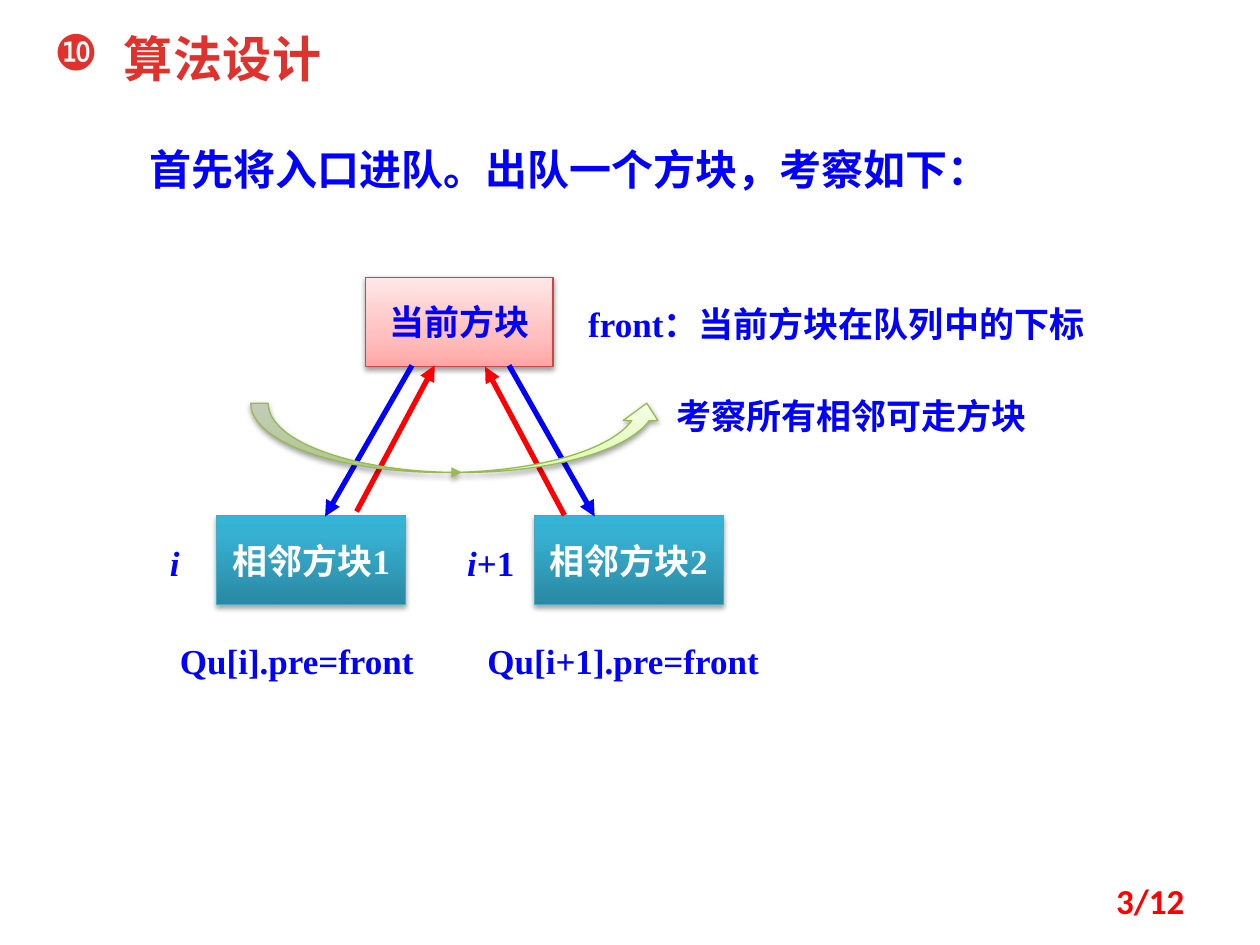
"""Build the queue-based maze search slide."""
from dataclasses import dataclass

from lxml.etree import SubElement
from pptx import Presentation
from pptx.dml.color import RGBColor
from pptx.enum.shapes import MSO_CONNECTOR as CONN, MSO_SHAPE as SHAPE
from pptx.enum.text import MSO_ANCHOR as ANCHOR, MSO_AUTO_SIZE as FIT, PP_ALIGN as ALIGN
from pptx.oxml.ns import qn
from pptx.util import Inches, Pt

BLUE = RGBColor(0x00, 0x00, 0xFF)
RED = RGBColor(0xFF, 0x00, 0x00)
WHITE = RGBColor(0xFF, 0xFF, 0xFF)
TITLE_RED = RGBColor(0xE0, 0x32, 0x2D)
PINK_LINE = RGBColor(0xBF, 0x4C, 0x48)
TEAL_LINE = RGBColor(0x46, 0xAA, 0xC5)
GREEN_LINE = RGBColor(0x98, 0xB9, 0x55)
PINK = ((0, "FFA6A5"), (35, "FFC0BF"), (100, "FFE7E7"))
TEAL = ((0, "2A88A2"), (80, "37B1D2"), (100, "34B4D6"))
GREEN = ((0, "DAFDA7"), (35, "E4FCC2"), (100, "F5FFE7"))
SERIF, SANS, CJK = "Times New Roman", "Calibri", "Noto Sans CJK SC"


@dataclass
class Block:
    """A gradient shape with an optional centred caption."""
    x: float
    y: float
    w: float
    h: float
    stops: tuple
    line: RGBColor
    text: str = ""
    color: RGBColor = BLUE
    kind: SHAPE = SHAPE.RECTANGLE
    alpha: int = 38


@dataclass
class Label:
    """A text box whose leading part may be italic."""
    x: float
    y: float
    w: float
    h: float
    text: str
    italic: str = ""
    size: int = 20
    font: str = SERIF
    color: RGBColor = BLUE
    align: ALIGN = ALIGN.LEFT
    anchor: ANCHOR = ANCHOR.TOP


@dataclass
class Arrow:
    """A straight arrow between two points."""
    x1: float
    y1: float
    x2: float
    y2: float
    color: RGBColor


BLOCKS = [
    Block(2.9, 2.2, 1.49, 0.71, PINK, PINK_LINE, "当前方块"),
    Block(1.72, 4.09, 1.5, 0.71, TEAL, TEAL_LINE, "相邻方块1", WHITE, alpha=35),
    Block(4.24, 4.09, 1.5, 0.71, TEAL, TEAL_LINE, "相邻方块2", WHITE, alpha=35),
]
ARROWS = [
    Arrow(3.27, 2.9, 2.58, 4.1, BLUE),
    Arrow(4.04, 2.9, 4.72, 4.1, BLUE),
    Arrow(2.83, 4.06, 3.45, 2.9, RED),
    Arrow(4.48, 4.09, 3.85, 2.91, RED),
]
SWEEP = Block(1.99, 3.2, 3.28, 0.55, GREEN, GREEN_LINE, kind=SHAPE.CURVED_UP_ARROW)
LABELS = [
    Label(1.09, 1.09, 7.03, 0.5, "首先将入口进队。出队一个方块，考察如下：", size=24),
    Label(4.57, 2.35, 4.22, 0.44, "front：当前方块在队列中的下标"),
    Label(5.27, 3.08, 3.13, 0.44, "考察所有相邻可走方块"),
    Label(1.25, 4.25, 0.31, 0.43, "", "i"),
    Label(3.61, 4.25, 0.63, 0.43, "+1", "i"),
    Label(1.33, 5.03, 2.2, 0.43, "Qu[i].pre=front"),
    Label(3.77, 5.03, 2.52, 0.43, "Qu[i+1].pre=front"),
    Label(7.17, 6.95, 2.33, 0.4, "3/12", font=SANS, color=RED,
          align=ALIGN.RIGHT, anchor=ANCHOR.MIDDLE),
]


def add(parent, tag: str, **attrs):
    """Append a DrawingML element."""
    return SubElement(parent, qn(f"a:{tag}"), {k: str(v) for k, v in attrs.items()})


def style(p, size: float, font: str, color: RGBColor, align: ALIGN) -> None:
    """Format a whole paragraph in bold."""
    p.alignment = align
    f = p.font
    f.size, f.name, f.bold = Pt(size), font, True
    f.color.rgb = color
    latin = f._element.find(qn("a:latin"))
    latin.addnext(add(f._element, "ea", typeface=CJK))


def add_block(s, b: Block):
    """Draw a gradient shape with a soft shadow."""
    sp = s.shapes.add_shape(b.kind, Inches(b.x), Inches(b.y), Inches(b.w), Inches(b.h))
    sp.line.color.rgb, sp.line.width = b.line, Pt(0.75)
    sp.fill.gradient()
    sp.fill.gradient_angle = 90
    stops = sp._element.spPr.find(qn("a:gradFill")).find(qn("a:gsLst"))
    for old in list(stops):
        stops.remove(old)
    for pos, color in b.stops:
        add(add(stops, "gs", pos=pos * 1000), "srgbClr", val=color)
    sp.shadow.inherit = False
    effects = sp._element.spPr.find(qn("a:effectLst"))
    shadow = add(effects, "outerShdw", blurRad=Pt(3.1), dist=Pt(1.6),
                 dir=5400000, rotWithShape=0)
    add(add(shadow, "srgbClr", val="000000"), "alpha", val=b.alpha * 1000)
    if b.text:
        tf = sp.text_frame
        tf.word_wrap, tf.vertical_anchor = False, ANCHOR.MIDDLE
        tf.text = b.text
        style(tf.paragraphs[0], 20, SERIF, b.color, ALIGN.CENTER)
    return sp


def add_arrow(s, a: Arrow) -> None:
    """Draw a straight arrow."""
    c = s.shapes.add_connector(CONN.STRAIGHT, Inches(a.x1), Inches(a.y1),
                               Inches(a.x2), Inches(a.y2))
    c.line.color.rgb, c.line.width = a.color, Pt(3)
    add(c.line._get_or_add_ln(), "tailEnd", type="triangle")
    add(c._element.spPr, "effectLst")


def add_label(s, t: Label) -> None:
    """Draw a text box."""
    box = s.shapes.add_textbox(Inches(t.x), Inches(t.y), Inches(t.w), Inches(t.h))
    tf = box.text_frame
    tf.word_wrap, tf.vertical_anchor = True, t.anchor
    p = tf.paragraphs[0]
    for text, italic in ((t.italic, True), (t.text, False)):
        if text:
            r = p.add_run()
            r.text, r.font.italic = text, italic
    style(p, t.size, t.font, t.color, t.align)


def add_title(s, text: str) -> None:
    """Place the title with its numbered bullet."""
    sp = s.shapes.title
    sp.left, sp.top, sp.width, sp.height = (Inches(v) for v in (0.33, 0.23, 2.8, 0.53))
    tf = sp.text_frame
    tf.text = text
    tf.auto_size, tf.word_wrap, tf.vertical_anchor = FIT.NONE, True, ANCHOR.TOP
    p = tf.paragraphs[0]
    style(p, 28, CJK, TITLE_RED, ALIGN.LEFT)
    p.line_spacing = 0.9
    p.font._element.set("spc", "50")
    pPr = p._p.get_or_add_pPr()
    pPr.set("marL", str(Inches(0.55)))
    pPr.set("indent", str(-Inches(0.55)))
    p.font._element.addprevious(add(pPr, "buChar", char="❿"))


def main() -> None:
    """Assemble and save the slide."""
    prs = Presentation()
    prs.slide_width, prs.slide_height = Inches(10), Inches(7.5)
    s = prs.slides.add_slide(prs.slide_layouts[5])
    add_title(s, "算法设计")
    for b in BLOCKS:
        add_block(s, b)
    for a in ARROWS:
        add_arrow(s, a)
    sweep = add_block(s, SWEEP)
    add(sweep.line._get_or_add_ln(), "tailEnd", type="triangle")
    for t in LABELS:
        add_label(s, t)
    prs.save("out.pptx")


main()
